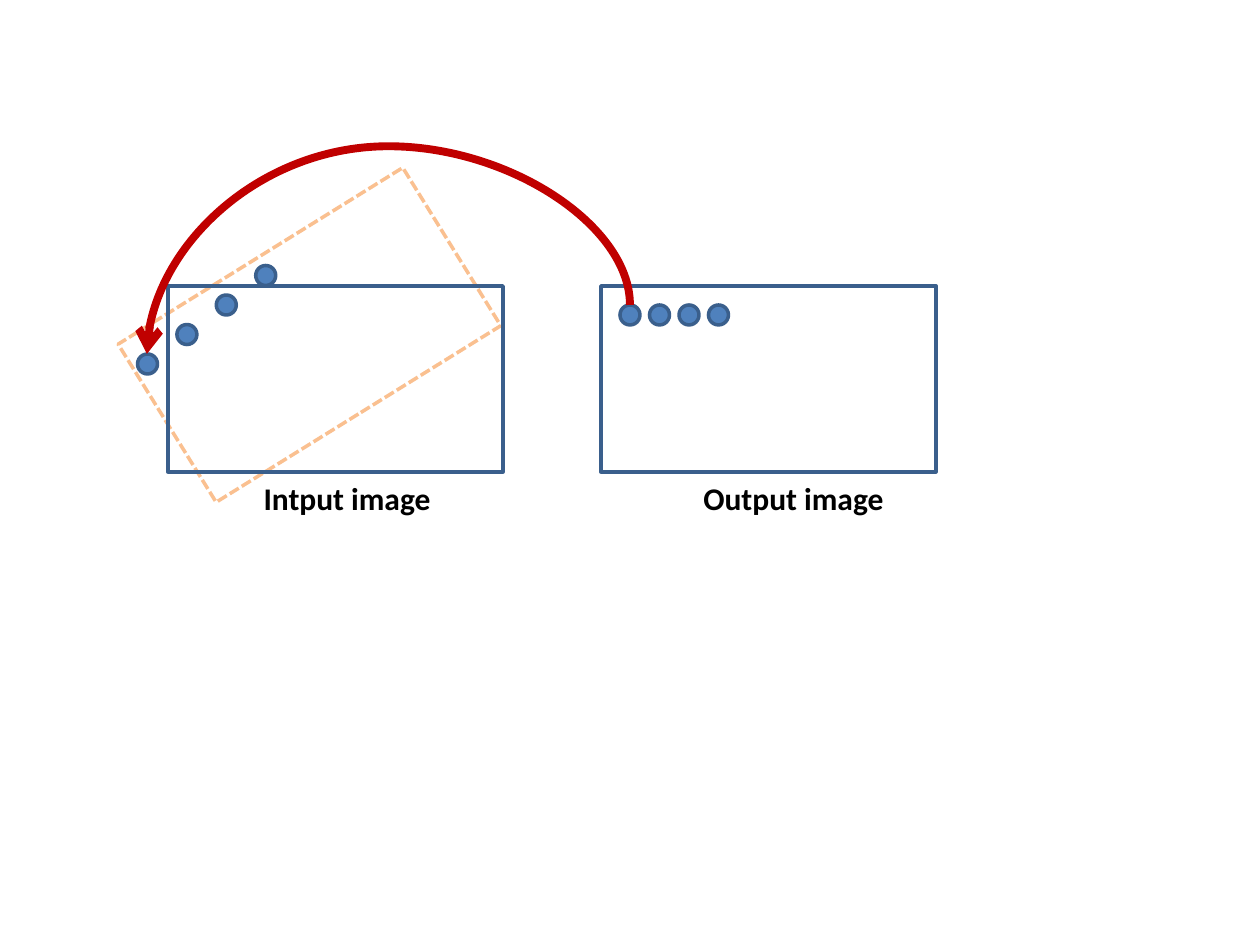
from lxml.etree import SubElement
from pptx import Presentation
from pptx.dml.color import RGBColor
from pptx.enum.dml import MSO_LINE
from pptx.enum.shapes import MSO_CONNECTOR, MSO_SHAPE
from pptx.enum.text import MSO_AUTO_SIZE, PP_ALIGN
from pptx.oxml.ns import qn
from pptx.util import Pt

SCALE = 914400 / 126
BLUE = RGBColor(0x4F, 0x81, 0xBD)
DARK_BLUE = RGBColor(0x3A, 0x5F, 0x8C)
ORANGE = RGBColor(0xFA, 0xC0, 0x90)
RED = RGBColor(0xC0, 0x00, 0x00)
BLACK = RGBColor(0x00, 0x00, 0x00)


def emu(*pixels):
    return [round(value * SCALE) for value in pixels]


def add_outlined(kind, box, line_color, fill_color=None):
    shape = slide.shapes.add_shape(kind, *emu(*box))
    shape.shadow.inherit = False
    if fill_color is None:
        shape.fill.background()
    else:
        shape.fill.solid()
        shape.fill.fore_color.rgb = fill_color
    shape.line.color.rgb = line_color
    shape.line.width = Pt(2)
    return shape


presentation = Presentation()
presentation.slide_width, presentation.slide_height = emu(1260, 945)
slide = presentation.slides.add_slide(presentation.slide_layouts[6])

FRAME_WIDTH, FRAME_HEIGHT = 335, 186
rotated_frame = add_outlined(
    MSO_SHAPE.RECTANGLE, (142, 242, FRAME_WIDTH, FRAME_HEIGHT), ORANGE)
rotated_frame.rotation = 328.2
rotated_frame.line.dash_style = MSO_LINE.SQUARE_DOT
rotated_frame.line._get_or_add_ln().find(qn("a:prstDash")).set("val", "sysDash")

for frame_left in (601, 168):
    add_outlined(MSO_SHAPE.RECTANGLE,
                 (frame_left, 286, FRAME_WIDTH, FRAME_HEIGHT), DARK_BLUE)

label_format = {"name": "Calibri", "size": Pt(18), "bold": True}
for label_left, label in ((610, "Output image"), (157, "Intput image")):
    text_frame = slide.shapes.add_textbox(*emu(label_left, 473, 286, 50)).text_frame
    text_frame.word_wrap = True
    text_frame.auto_size = MSO_AUTO_SIZE.SHAPE_TO_FIT_TEXT
    paragraph = text_frame.paragraphs[0]
    paragraph.alignment = PP_ALIGN.RIGHT
    run = paragraph.add_run()
    run.text = label
    for name, value in label_format.items():
        setattr(run.font, name, value)
    run.font.color.rgb = BLACK

DOT_SIZE = 20
dot_rows = ((620, 305, 29.5, 0), (137.5, 354, 39.4, -29.5))
for first_left, first_top, step_x, step_y in dot_rows:
    for index in range(4):
        add_outlined(MSO_SHAPE.OVAL,
                     (first_left + index * step_x, first_top + index * step_y,
                      DOT_SIZE, DOT_SIZE), DARK_BLUE, BLUE)

mapping_arrow = slide.shapes.add_connector(
    MSO_CONNECTOR.CURVE, *emu(413, 571, 364, 88))
mapping_arrow.line.color.rgb = RED
mapping_arrow.line.width = Pt(4.5)
properties = mapping_arrow._element.spPr
properties.find(qn("a:xfrm")).set("rot", str(270 * 60000))
adjustments = properties.find(qn("a:prstGeom")).get_or_add_avLst()
SubElement(adjustments, qn("a:gd"), name="adj1", fmla="val -323800")
SubElement(mapping_arrow.line._get_or_add_ln(), qn("a:tailEnd"), type="arrow")
SubElement(properties, qn("a:effectLst"))

presentation.save("out.pptx")
